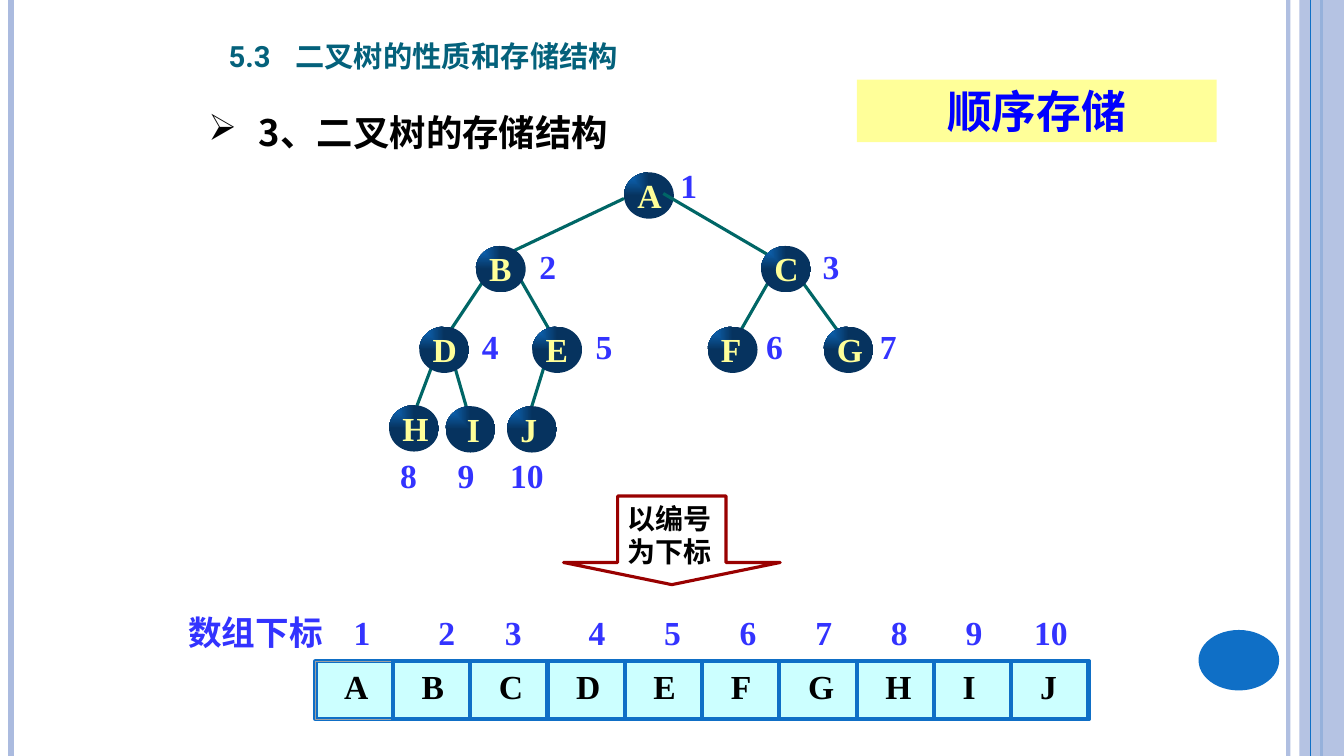
from lxml import etree
from pptx import Presentation
from pptx.dml.color import RGBColor
from pptx.enum.shapes import MSO_CONNECTOR, MSO_SHAPE
from pptx.enum.text import MSO_ANCHOR, PP_ALIGN
from pptx.oxml.ns import qn
from pptx.util import Inches, Pt

RECT, OVAL, DOWN_ARROW = MSO_SHAPE.RECTANGLE, MSO_SHAPE.OVAL, MSO_SHAPE.DOWN_ARROW
STRAIGHT = MSO_CONNECTOR.STRAIGHT
TOP, MIDDLE, BOTTOM = MSO_ANCHOR.TOP, MSO_ANCHOR.MIDDLE, MSO_ANCHOR.BOTTOM
LEFT, CENTER = PP_ALIGN.LEFT, PP_ALIGN.CENTER

# The slide is a grid of square units, ten to the inch.
COLUMNS, ROWS = 133.33, 75
HANZI, LATIN, TITLE_FONT = "Noto Sans CJK SC", "Times New Roman", "Roboto"
COLORS = {
    "pale": "ABBBDF", "blue": "0F6FC6", "navy": "06335F", "banner": "FFFF99",
    "banner_text": "0000FF", "cell": "CCFFFF", "grey": "A0A0A0",
    "index": "3333FF", "edge": "006666", "arrow": "990000",
    "black": "000000", "title": "04617B",
}
# letter: (left, top) of the node, (left, top) of its number
NODES = {
    "A": ((61.9, 17.1), (67.5, 16.2)),
    "B": ((47.2, 24.4), (53.5, 24.2)),
    "C": ((75.5, 24.4), (81.6, 24.2)),
    "D": ((41.6, 32.4), (47.8, 32.1)),
    "E": ((52.8, 32.4), (59.1, 32.1)),
    "F": ((70.2, 32.4), (76, 32.1)),
    "G": ((81.7, 32.4), (87.3, 32.1)),
    "H": ((38.6, 40.2), (39.7, 44.9)),
    "I": ((44.2, 40.3), (45.4, 44.9)),
    "J": ((50.3, 40.3), (50.6, 44.9)),
}
EDGES = [
    (61.9, 19.7, 50.5, 25.1), (65.8, 19.2, 76.4, 25.4),
    (48.2, 27.5, 44.6, 32.9), (51.5, 27.5, 54.6, 32.9),
    (76.4, 27.7, 73.3, 33.1), (79.4, 27.7, 83.1, 32.8),
    (42.9, 36.2, 41.2, 40.7), (45, 36, 46.3, 40.5), (54, 36.3, 52.7, 40.5),
]
INDEX_TABS = [16.4, 24.8, 31.4, 39.7, 47.2, 54.7, 62.2, 69.7, 77.1, 83.9]
ARRAY_LEFT, ARRAY_TOP, CELL_WIDTH, CELL_HEIGHT = 31.3, 65.6, 7.67, 5.75


def units(*lengths):
    return [Inches(length / 10) for length in lengths]


def color(name):
    return RGBColor.from_string(COLORS[name])


def set_alpha(fill, percent):
    """Make a solid fill partly transparent."""
    srgb = fill._xPr.find(qn("a:solidFill")).find(qn("a:srgbClr"))
    etree.SubElement(srgb, qn("a:alpha")).set("val", str(percent * 1000))


def add_line(slide, ends, line_color, width):
    line = slide.shapes.add_connector(STRAIGHT, *units(*ends))
    line.line.color.rgb = color(line_color)
    line.line.width = Pt(width)
    etree.SubElement(line._element.spPr, qn("a:effectLst"))
    return line


def add_block(slide, kind, box, fill=None, line=None, width=0):
    block = slide.shapes.add_shape(kind, *units(*box))
    block.shadow.inherit = False
    if fill:
        block.fill.solid()
        block.fill.fore_color.rgb = color(fill)
    else:
        block.fill.background()
    if line:
        block.line.color.rgb = color(line)
        block.line.width = Pt(width)
    else:
        block.line.fill.background()
    return block


def write(shape, text, size, text_color, font=LATIN, align=LEFT, anchor=TOP,
          insets=(1, 0.5, 1, 0.5), spacing=None):
    frame = shape.text_frame
    frame.word_wrap = True
    frame.vertical_anchor = anchor
    (frame.margin_left, frame.margin_top,
     frame.margin_right, frame.margin_bottom) = units(*insets)
    frame.text = text
    for paragraph in frame.paragraphs:
        paragraph.alignment = align
        if spacing:
            paragraph.line_spacing = spacing
        for run in paragraph.runs:
            run.font.size = Pt(size)
            run.font.bold = True
            run.font.name = font
            run.font.color.rgb = color(text_color)
            east_asian = etree.SubElement(run.font._element, qn("a:ea"))
            east_asian.set("typeface", HANZI)
    return frame.paragraphs[0]


def add_text(slide, box, *args, **options):
    return write(slide.shapes.add_textbox(*units(*box)), *args, **options)


def set_tabs(paragraph, stops):
    tabs = etree.SubElement(paragraph._p.get_or_add_pPr(), qn("a:tabLst"))
    for stop in units(*stops):
        etree.SubElement(tabs, qn("a:tab"), pos=str(stop), algn="l")


def add_frame_decoration(slide):
    right_rule = add_line(slide, (127.8, 0, 127.8, ROWS), "pale", 3)
    set_alpha(right_rule.line.fill, 93)
    add_line(slide, (1.1, 0, 1.1, ROWS), "pale", 4.5)
    add_line(slide, (131.1, 0, 131.1, ROWS), "blue", 1.5)
    band = add_block(slide, RECT, (128.9, 0, COLUMNS - 128.9, ROWS), "pale")
    set_alpha(band.fill, 87)
    add_line(slide, (130, 0, 130, ROWS), "blue", 0.75)
    add_block(slide, OVAL, (118.9, 62.5, 8, 6), "blue")


def add_headings(slide):
    title = add_text(slide, (21.7, 1.8, 50.2, 6.1), "5.3\t二叉树的性质和存储结构",
                     26.2, "title", font=TITLE_FONT, anchor=BOTTOM)
    set_tabs(title, [6.6])
    for run in title.runs:
        run.font._element.set("cap", "small")

    heading = add_text(slide, (19.7, 9.6, 45.4, 6.2), "3、二叉树的存储结构",
                       26, "black", font=HANZI, spacing=1.2)
    properties = heading._p.get_or_add_pPr()
    properties.set("marL", str(Inches(0.5)))
    properties.set("indent", str(-Inches(0.5)))
    etree.SubElement(properties, qn("a:buChar")).set("char", "➢")

    banner = add_block(slide, RECT, (85, 7.9, 35.7, 6.2), "banner")
    write(banner, "顺序存储", 32, "banner_text", font=HANZI, align=CENTER, anchor=MIDDLE)


def add_node(slide, letter):
    node = add_block(slide, OVAL, (*NODES[letter][0], 4.95, 4.6))
    node.fill.gradient()
    near, far = node.fill.gradient_stops
    near.color.rgb, far.color.rgb = color("blue"), color("navy")
    near.position, far.position = 0, 1
    gradient = node.fill._xPr.find(qn("a:gradFill"))
    gradient.remove(gradient.find(qn("a:lin")))
    focus = etree.SubElement(gradient, qn("a:path"), path="rect")
    etree.SubElement(focus, qn("a:fillToRect"), r="100000", b="100000")
    inset = 1.4 if letter == "I" else 0.6
    write(node, letter, 24, "banner", insets=(inset, 0, 0, 0), spacing=0.9)


def add_tree(slide):
    root, *descendants = NODES
    add_node(slide, root)
    for number, (_, corner) in enumerate(NODES.values(), 1):
        add_text(slide, (*corner, 4.4 if number > 9 else 2.8, 3.9), str(number),
                 24, "index", insets=(0, 0.2, 0, 0))
    for ends in EDGES:
        add_line(slide, ends, "edge", 2.25)
    for letter in descendants:
        add_node(slide, letter)


def add_array(slide):
    add_block(slide, RECT, (ARRAY_LEFT, ARRAY_TOP, CELL_WIDTH * len(NODES), CELL_HEIGHT),
              "cell", "blue", 3)
    for position, letter in enumerate(NODES):
        border = ("blue", 3) if position else ("grey", 0)
        left = ARRAY_LEFT + position * CELL_WIDTH
        cell = add_block(slide, RECT, (left, ARRAY_TOP, CELL_WIDTH, CELL_HEIGHT), None, *border)
        write(cell, letter, 24, "black", insets=(2.85, 0.5, 0, 0.5))
    numbers = [str(number) for number in range(1, len(NODES) + 1)]
    index_row = add_text(slide, (17.7, 60.2, 91.2, 5), "\t".join(["数组下标", *numbers]),
                         24, "index")
    set_tabs(index_row, INDEX_TABS)


def main():
    deck = Presentation()
    deck.slide_width, deck.slide_height = units(COLUMNS, ROWS)
    slide = deck.slides.add_slide(deck.slide_layouts[6])
    add_frame_decoration(slide)
    add_headings(slide)
    add_array(slide)
    add_tree(slide)
    arrow = add_block(slide, DOWN_ARROW, (55.9, 49.2, 21.5, 8.8), None, "arrow", 2.25)
    arrow.adjustments[0], arrow.adjustments[1] = 0.5, 0.25
    write(arrow, "以编号\n为下标", 20, "black", font=HANZI, anchor=MIDDLE)
    deck.save("out.pptx")


if __name__ == "__main__":
    main()
